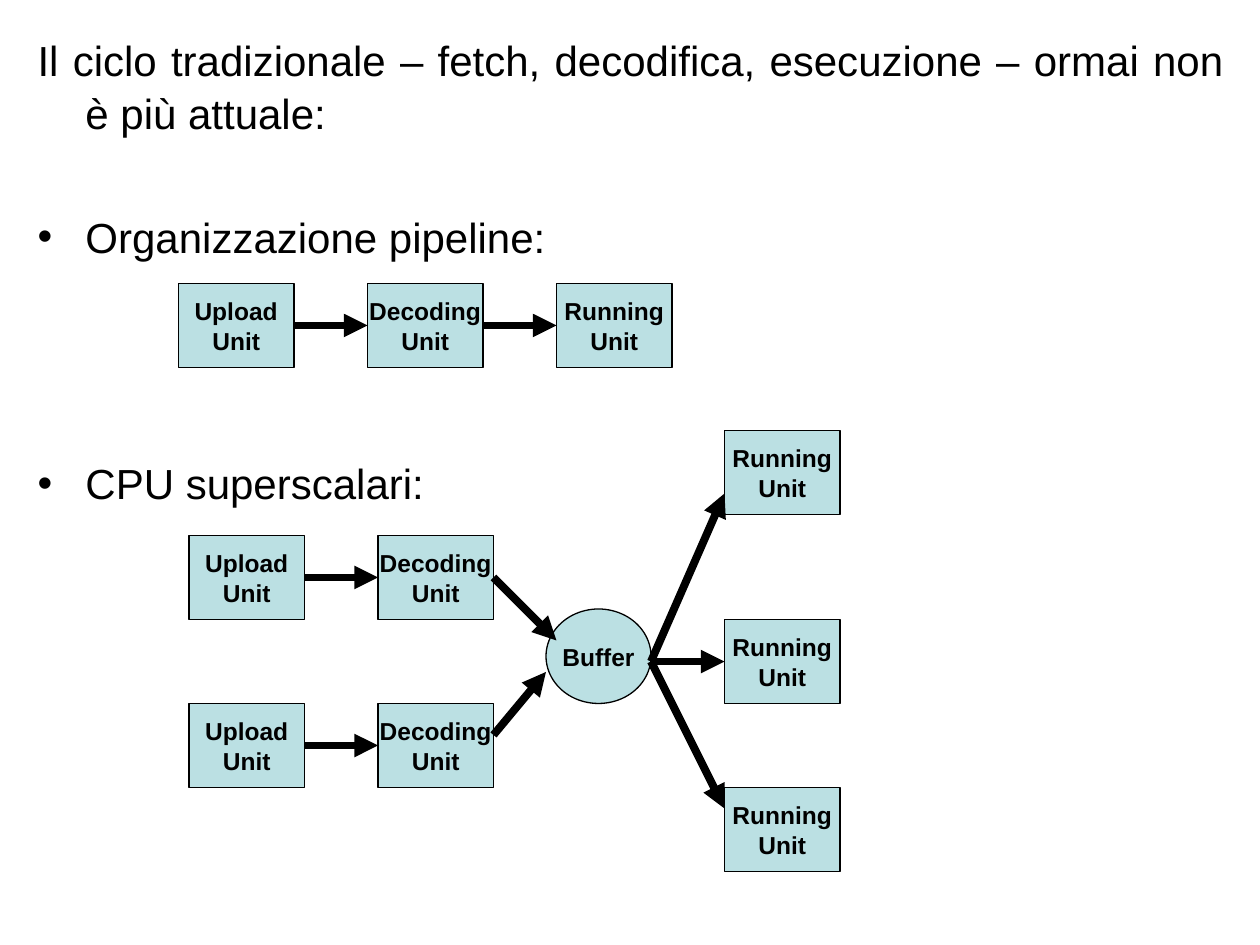
from lxml import etree
from pptx import Presentation
from pptx.dml.color import RGBColor
from pptx.enum.shapes import MSO_CONNECTOR, MSO_SHAPE
from pptx.enum.text import MSO_ANCHOR, PP_ALIGN
from pptx.oxml.ns import qn
from pptx.util import Inches, Pt

RECTANGLE, OVAL = MSO_SHAPE.RECTANGLE, MSO_SHAPE.OVAL
STRAIGHT = MSO_CONNECTOR.STRAIGHT
MIDDLE = MSO_ANCHOR.MIDDLE
CENTER, JUSTIFY, LEFT = PP_ALIGN.CENTER, PP_ALIGN.JUSTIFY, PP_ALIGN.LEFT
LEFT_SIDE, RIGHT_SIDE = 1, 3

FONT = "Arial"
COLORS = {"ink": "000000", "unit": "BBE0E3"}

# The slide is a grid of 120 columns by 90 rows.
SLIDE_WIDTH, SLIDE_HEIGHT = Inches(10), Inches(7.5)
CELL = SLIDE_WIDTH / 120
UNIT_COLUMNS, UNIT_ROWS = 11, 8
STAGE_PITCH = 18


def cells(count):
    return round(count * CELL)


def color(name):
    return RGBColor.from_string(COLORS[name])


def style_text(paragraph, size, align, bold=False):
    paragraph.alignment = align
    for run in paragraph.runs:
        run.font.name = FONT
        run.font.size = Pt(size)
        run.font.bold = bold
        run.font.color.rgb = color("ink")


def add_node(slide, label, column, row, columns=UNIT_COLUMNS, rows=UNIT_ROWS,
             outline=RECTANGLE):
    node = slide.shapes.add_shape(
        outline, cells(column), cells(row), cells(columns), cells(rows))
    node.shadow.inherit = False
    node.fill.solid()
    node.fill.fore_color.rgb = color("unit")
    node.line.color.rgb = color("ink")
    node.line.width = Pt(0.75)
    frame = node.text_frame
    frame.word_wrap = False
    frame.vertical_anchor = MIDDLE
    frame.text = label
    for paragraph in frame.paragraphs:
        style_text(paragraph, 14, CENTER, bold=True)
    return node


def add_arrow(slide, start=(0, 0), end=(0, 0), source=None, target=None):
    """Draw an arrow between grid points, or from a source's right to a target's left."""
    arrow = slide.shapes.add_connector(
        STRAIGHT, *(cells(value) for value in (*start, *end)))
    if source is not None:
        arrow.begin_connect(source, RIGHT_SIDE)
    if target is not None:
        arrow.end_connect(target, LEFT_SIDE)
    arrow.line.color.rgb = color("ink")
    arrow.line.width = Pt(4.5)
    etree.SubElement(arrow.line._get_or_add_ln(), qn("a:tailEnd"), type="triangle")
    etree.SubElement(arrow._element.spPr, qn("a:effectLst"))


def add_stages(slide, labels, column, row):
    """Draw a chain of units joined by arrows and return the last one."""
    previous = None
    for index, label in enumerate(labels):
        unit = add_node(slide, label, column + index * STAGE_PITCH, row)
        if previous is not None:
            add_arrow(slide, source=previous, target=unit)
        previous = unit
    return previous


def add_outline(slide, left, top, width, height):
    box = slide.shapes.add_textbox(
        Inches(left), Inches(top), Inches(width), Inches(height))
    frame = box.text_frame
    frame.word_wrap = True
    points = [
        ("Il ciclo tradizionale – fetch, decodifica, esecuzione – ormai non è più attuale:",
         JUSTIFY, False, 0),
        ("Organizzazione pipeline:", LEFT, True, 41),
        ("CPU superscalari:", LEFT, True, 111),
    ]
    for index, (wording, align, bulleted, space_before) in enumerate(points):
        paragraph = frame.add_paragraph() if index else frame.paragraphs[0]
        paragraph.text = wording
        properties = paragraph._p.get_or_add_pPr()
        properties.set("marL", str(Inches(0.38)))
        properties.set("indent", str(-Inches(0.38)))
        if bulleted:
            etree.SubElement(properties, qn("a:buFont"), typeface=FONT)
            etree.SubElement(properties, qn("a:buChar"), char="•")
        paragraph.line_spacing = 1.04
        if space_before:
            paragraph.space_before = Pt(space_before)
        style_text(paragraph, 24, align)


def add_pipeline(slide, column, row):
    add_stages(slide, ["Upload\nUnit", "Decoding\nUnit", "Running\nUnit"], column, row)


def add_superscalar(slide, column, row):
    upper, lower = (
        add_stages(slide, ["Upload\nUnit", "Decoding\nUnit"], column, row + offset)
        for offset in (10, 26))
    add_node(slide, "Buffer", column + 34, row + 17, 10, 9, OVAL)
    add_arrow(slide, end=(column + 35, row + 20), source=upper)
    add_arrow(slide, (column + 29, row + 29), (column + 34, row + 23), source=None)

    buffer_exit = (column + 44, row + 22)
    running_column = column + 51
    top, middle, bottom = (
        add_node(slide, "Running\nUnit", running_column, row + offset)
        for offset in (0, 18, 34))
    add_arrow(slide, buffer_exit, (running_column, row + 6))
    add_arrow(slide, buffer_exit, target=middle)
    add_arrow(slide, buffer_exit, (running_column, row + 36))


def main():
    presentation = Presentation()
    presentation.slide_width, presentation.slide_height = SLIDE_WIDTH, SLIDE_HEIGHT
    slide = presentation.slides.add_slide(presentation.slide_layouts[6])
    add_outline(slide, 0.2, 0.21, 9.61, 7.09)
    add_pipeline(slide, column=17, row=27)
    add_superscalar(slide, column=18, row=41)
    presentation.save("out.pptx")


if __name__ == "__main__":
    main()
